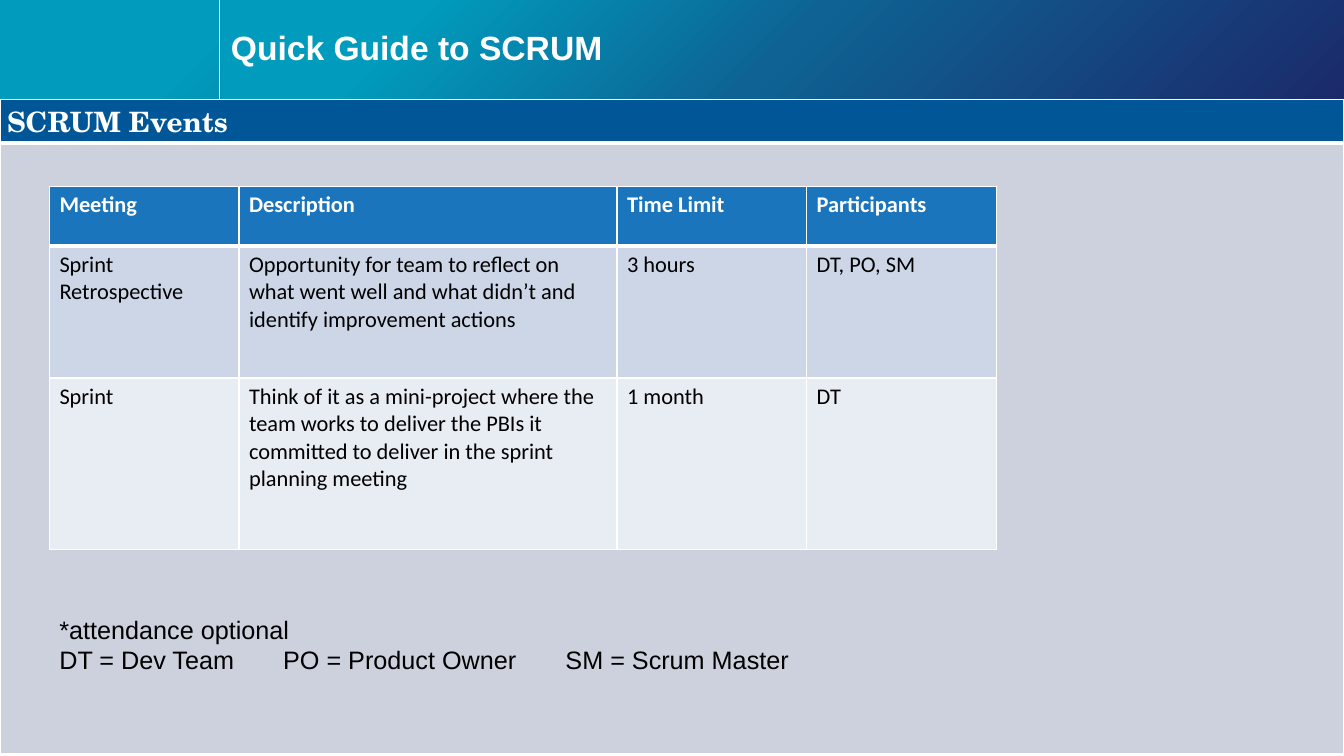
from copy import deepcopy

from lxml.etree import SubElement
from pptx import Presentation
from pptx.dml.color import RGBColor
from pptx.enum.shapes import MSO_CONNECTOR as CONNECTOR, MSO_SHAPE as SHAPE
from pptx.enum.text import MSO_ANCHOR as ANCHOR, PP_ALIGN as ALIGN
from pptx.oxml.ns import qn
from pptx.util import Inches, Pt

WHITE, BLACK = "FFFFFF", "000000"
BAND_STOPS = [(0.17, "009BBD"), (0.5, "0E6394"), (1, "1B2A6B")]
MEETINGS = [
    ["Meeting", "Description", "Time Limit", "Participants"],
    ["Sprint Retrospective",
     "Opportunity for team to reflect on what went well and what didn’t "
     "and identify improvement actions", "3 hours", "DT, PO, SM"],
    ["Sprint",
     "Think of it as a mini-project where the team works to deliver the PBIs "
     "it committed to deliver in the sprint planning meeting", "1 month", "DT"],
]


def rgb(value):
    return RGBColor.from_string(value)


class GuideSlide:
    def __init__(self, deck):
        self.slide = deck.slides.add_slide(deck.slide_layouts[5])
        self.shapes = self.slide.shapes

    def style(self, frame, font, size, color, bold=False):
        for paragraph in frame.paragraphs:
            for run in paragraph.runs:
                run.font.name, run.font.size = font, Pt(size)
                run.font.bold = bold
                run.font.color.rgb = rgb(color)

    def band(self, left, width, height):
        band = self.shapes.add_shape(
            SHAPE.RECTANGLE, Inches(left), 0, Inches(width), Inches(height))
        band.shadow.inherit = False
        band.line.fill.background()
        band.fill.gradient()
        band.fill.gradient_angle = 315
        stop_list = band._element.spPr.find(".//" + qn("a:gsLst"))
        stop_list.append(deepcopy(stop_list[-1]))
        for stop, (position, color) in zip(band.fill.gradient_stops, BAND_STOPS):
            stop.position = position
            stop.color.rgb = rgb(color)

    def divider(self, x, height):
        divider = self.shapes.add_connector(
            CONNECTOR.STRAIGHT, Inches(x), 0, Inches(x), Inches(height))
        divider.line.color.rgb = rgb(WHITE)
        divider.line.width = Pt(0.5)
        SubElement(divider._element.spPr, qn("a:effectLst"))

    def title(self, text, left, top, width, height):
        title = self.shapes.title
        title.left, title.top = Inches(left), Inches(top)
        title.width, title.height = Inches(width), Inches(height)
        self.shapes._spTree.append(title._element)
        frame = title.text_frame
        frame.text = text
        frame.vertical_anchor = ANCHOR.MIDDLE
        frame.paragraphs[0].alignment = ALIGN.LEFT
        frame.paragraphs[0].line_spacing = 0.9
        self.style(frame, "Arial", 24, WHITE, True)

    def borders(self, cell, top, bottom):
        properties = cell._tc.get_or_add_tcPr()
        for side, points in zip("LRTB", (1, 1, top, bottom)):
            line = SubElement(properties, qn("a:ln" + side), w=str(Pt(points)))
            solid = SubElement(line, qn("a:solidFill"))
            SubElement(solid, qn("a:srgbClr"), val=WHITE)

    def table(self, rows, left, top, widths, heights, fills, font, size):
        table = self.shapes.add_table(
            len(rows), len(widths), Inches(left), Inches(top),
            Inches(sum(widths)), Inches(sum(heights))).table
        for column, width in zip(table.columns, widths):
            column.width = Inches(width)
        for r, texts in enumerate(rows):
            table.rows[r].height = Inches(heights[r])
            for c, text in enumerate(texts):
                cell = table.cell(r, c)
                cell.text_frame.text = text
                self.style(cell.text_frame, font, size,
                           BLACK if r else WHITE, r == 0)
                self.borders(cell, 3 if r == 1 else 1, 1 if r else 3)
                cell.fill.solid()
                cell.fill.fore_color.rgb = rgb(fills[r])
        return table

    def legend(self, lines, left, top, width, height, tabs):
        frame = self.shapes.add_textbox(
            Inches(left), Inches(top), Inches(width), Inches(height)).text_frame
        frame.word_wrap = True
        frame.text = "\n".join(lines)
        self.style(frame, "Arial", 18, BLACK)
        tab_list = SubElement(
            frame.paragraphs[-1]._p.get_or_add_pPr(), qn("a:tabLst"))
        for tab in tabs:
            SubElement(tab_list, qn("a:tab"), pos=str(Inches(tab)), algn="l")


def main():
    deck = Presentation()
    deck.slide_width, deck.slide_height = Inches(13.33), Inches(7.5)
    guide = GuideSlide(deck)

    guide.band(0, 13.33, 0.98)
    guide.band(2.19, 11.14, 0.98)
    guide.divider(2.18, 0.98)
    guide.title("Quick Guide to SCRUM", 2.19, 0.11, 11.14, 0.76)

    events = guide.table([["SCRUM Events"], [""]], 0, 0.99, [13.33], [0.43, 6.06],
                         ["005697", "CCD1DD"], "TeX Gyre Schola", 20)
    heading = events.cell(0, 0)
    heading.margin_left = heading.margin_right = Inches(0.07)
    heading.margin_top = heading.margin_bottom = 0

    guide.legend(["*attendance optional",
                  "DT = Dev Team\tPO = Product Owner\tSM = Scrum Master"],
                 0.49, 6.04, 8.35, 0.71, [2.22, 5.02])
    guide.table(MEETINGS, 0.49, 1.85, [1.88, 3.75, 1.88, 1.88], [0.59, 1.31, 1.7],
                ["1B75BC", "CDD6E7", "E8ECF3"], "Calibri", 16)

    deck.save("out.pptx")


if __name__ == "__main__":
    main()
